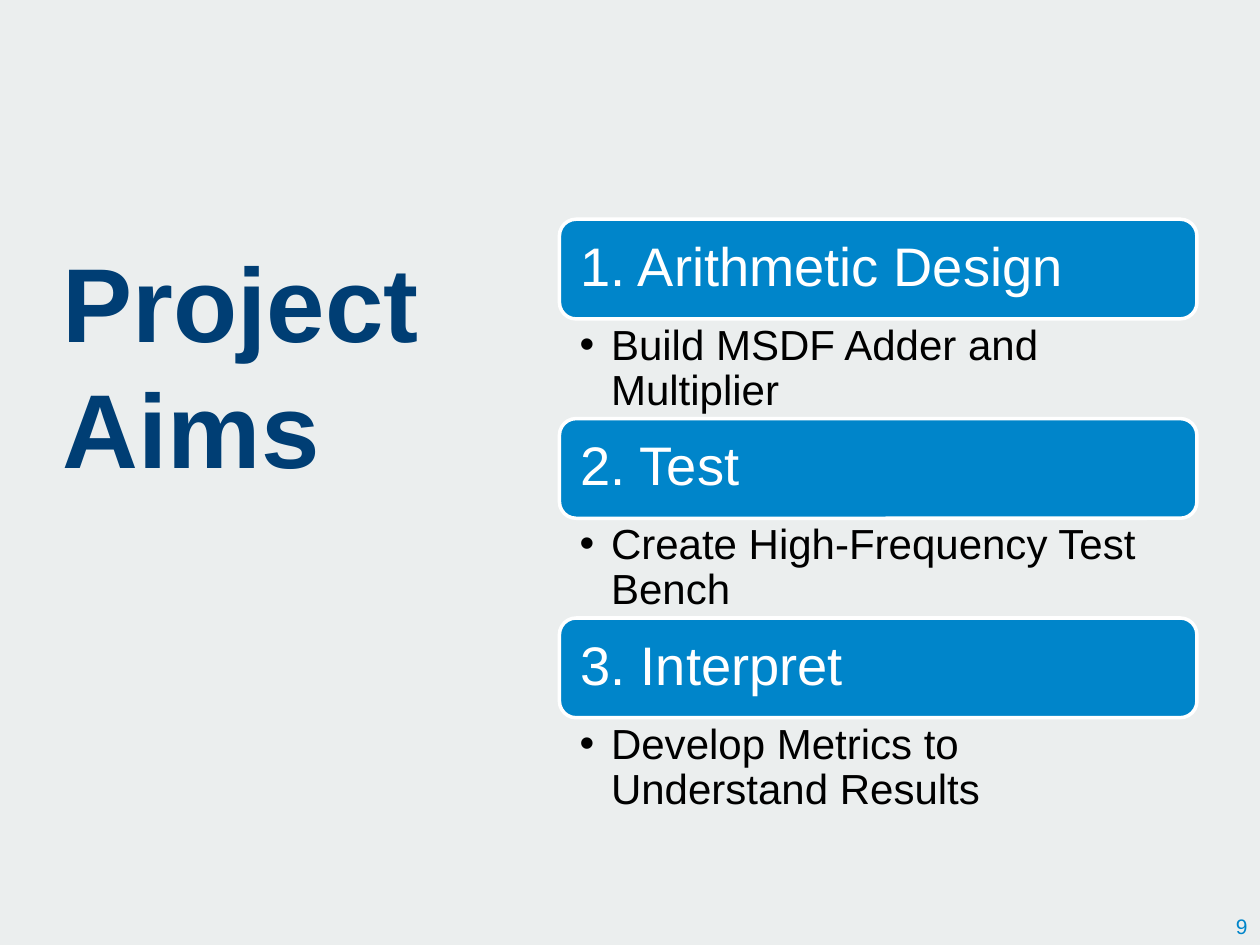
from pptx import Presentation
from pptx.util import Inches, Pt
from pptx.dml.color import RGBColor
from pptx.enum.shapes import MSO_SHAPE as Shape
from pptx.enum.text import MSO_ANCHOR as Anchor, PP_ALIGN as Align
from lxml.etree import SubElement

PALE = RGBColor(0xEB, 0xEE, 0xEE)
NAVY = RGBColor(0x00, 0x3E, 0x74)
BLUE = RGBColor(0x00, 0x85, 0xCA)
WHITE = RGBColor(0xFF, 0xFF, 0xFF)
BLACK = RGBColor(0x00, 0x00, 0x00)

WIDE, HIGH = 10, 7.5
AIMS = [
    ("1. Arithmetic Design", "Build MSDF Adder and Multiplier"),
    ("2. Test", "Create High-Frequency Test Bench"),
    ("3. Interpret", "Develop Metrics to Understand Results"),
]


def write(shape, text, size, color, insets, anchor=Anchor.TOP,
          align=Align.LEFT, bold=False, gap=1.0, wrap=True):
    """Put one paragraph in a shape; insets are left, top, right, bottom."""
    frame = shape.text_frame
    sides = ("margin_left", "margin_top", "margin_right", "margin_bottom")
    look = dict(zip(sides, map(Inches, insets)))
    look.update(word_wrap=wrap, vertical_anchor=anchor)
    for key, value in look.items():
        setattr(frame, key, value)
    para = frame.paragraphs[0]
    para.alignment, para.line_spacing = align, gap
    run = para.add_run()
    run.text = text
    for key, value in dict(name="Arial", size=Pt(size), bold=bold).items():
        setattr(run.font, key, value)
    run.font.color.rgb = color
    return para


def bullet(para, indent):
    props = para._p.get_or_add_pPr()
    props.set("marL", str(Inches(indent)))
    props.set("indent", str(-Inches(indent)))
    space = props.tag.rsplit("}", 1)[0] + "}"
    SubElement(props, space + "buFont").set("typeface", "Arial")
    SubElement(props, space + "buChar").set("char", "•")


def title(slide, box):
    head = slide.shapes.add_textbox(*map(Inches, box))
    write(head, "Project Aims", 60, NAVY, (0, 0.05, 0, 0),
          Anchor.MIDDLE, bold=True, gap=Pt(72))


def aims(slide, box):
    """Stack a bar and a bullet per aim in rows of equal height."""
    left, top, width, height = box
    row = height / (2 * len(AIMS))
    for i, (name, task) in enumerate(AIMS):
        y = top + 2 * i * row
        # Heading bar
        bar = slide.shapes.add_shape(
            Shape.ROUNDED_RECTANGLE, *map(Inches, (left, y, width, row)))
        bar.shadow.inherit = False
        bar.fill.solid()
        bar.fill.fore_color.rgb = BLUE
        bar.line.color.rgb = WHITE
        bar.line.width = Pt(2)
        write(bar, name, 31, WHITE, (0.13,) * 4, Anchor.MIDDLE, gap=0.9)
        # Task below it
        note = slide.shapes.add_textbox(
            *map(Inches, (left, y + row, width, row)))
        para = write(note, task, 24, BLACK, (0.16, 0.04, 0.24, 0.04), gap=0.9)
        bullet(para, 0.25)


def number(slide, box):
    page = slide.shapes.add_textbox(*map(Inches, box))
    write(page, "9", 12, BLUE, (0.1, 0.05, 0.1, 0.05),
          align=Align.RIGHT, wrap=False)


def main():
    deck = Presentation()
    deck.slide_width, deck.slide_height = Inches(WIDE), Inches(HIGH)
    slide = deck.slides.add_slide(deck.slide_layouts[6])
    slide.background.fill.solid()
    slide.background.fill.fore_color.rgb = PALE

    edge = WIDE * 0.05
    split = WIDE * 0.444
    number(slide, (WIDE - 0.41, HIGH * 0.96, 0.41, HIGH * 0.04))
    title(slide, (edge, HIGH * 0.225, split - edge, HIGH * 0.313))
    aims(slide, (split, HIGH * 0.232, WIDE - edge - split, HIGH * 0.633))
    deck.save("out.pptx")


if __name__ == "__main__":
    main()
